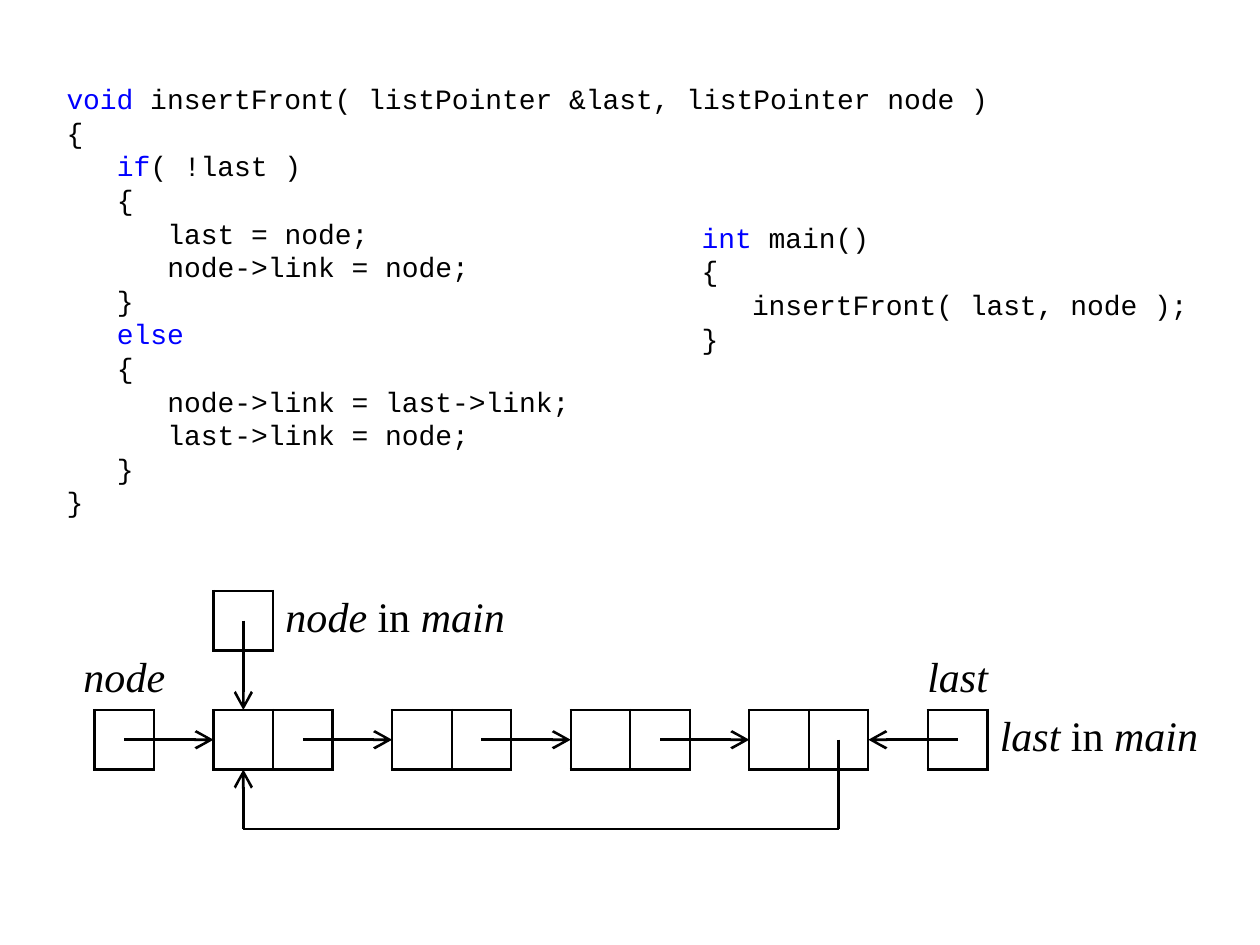
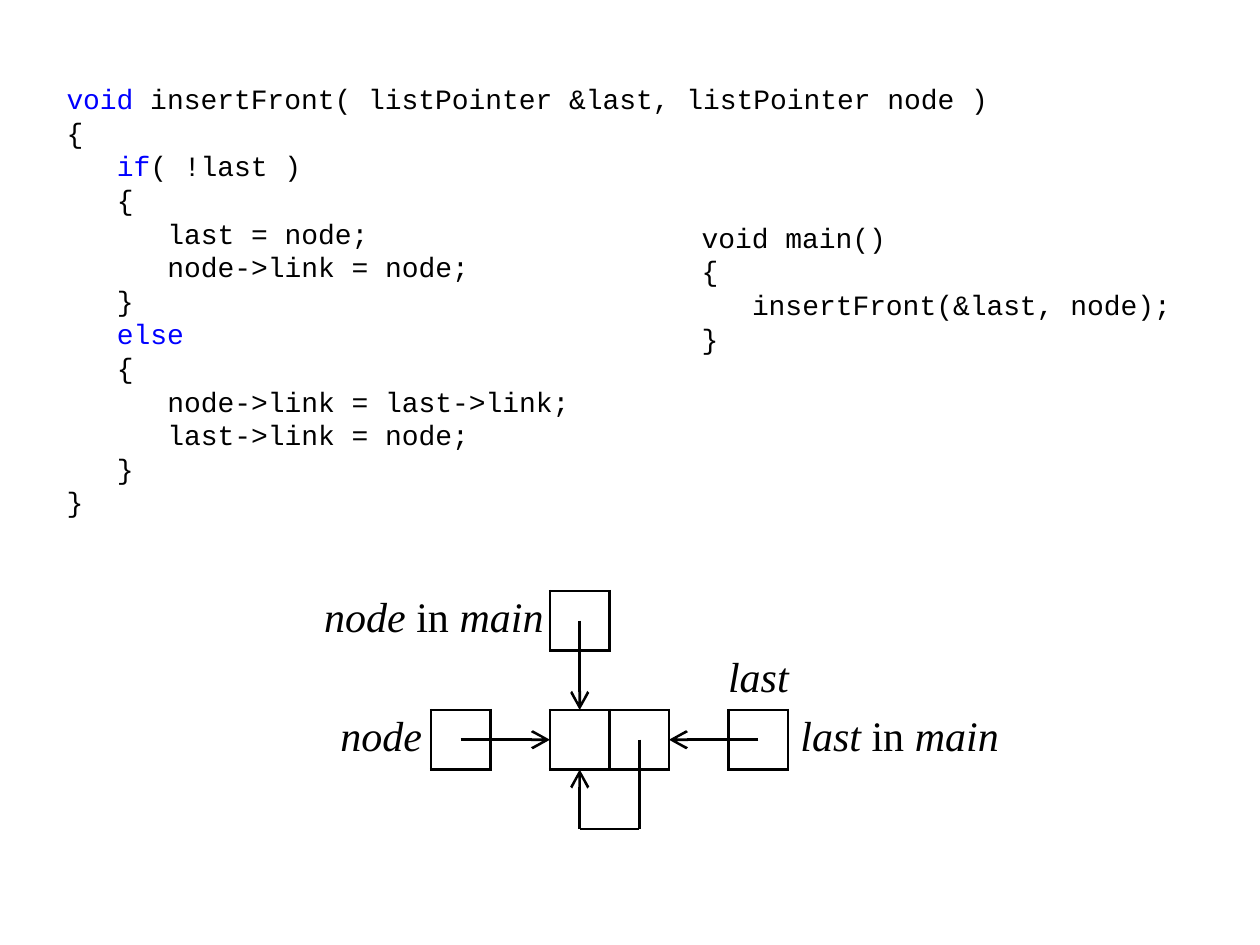
from dataclasses import dataclass
from itertools import pairwise
from lxml.etree import SubElement
from pptx import Presentation
from pptx.dml.color import RGBColor
from pptx.enum.shapes import MSO_CONNECTOR as Connector
from pptx.enum.text import MSO_ANCHOR as Anchor, PP_ALIGN as Align
from pptx.oxml.ns import qn
from pptx.util import Cm, Inches, Pt

INSERT_FRONT = [
    (0, "void", " insertFront( listPointer &last, listPointer node )"),
    (0, "", "{"),
    (1, "if", "( !last )"),
    (1, "", "{"),
    (2, "", "last = node;"),
    (2, "", "node->link = node;"),
    (1, "", "}"),
    (1, "else", ""),
    (1, "", "{"),
    (2, "", "node->link = last->link;"),
    (2, "", "last->link = node;"),
    (1, "", "}"),
    (0, "", "}"),
]


def main_code(keyword, signature, call):
    return [(0, keyword, signature), (0, "", "{"), (1, "", call), (0, "", "}")]


NODE, LAST = ("node",), ("last",)
NODE_IN_MAIN, LAST_IN_MAIN = ("node", " in ", "main"), ("last", " in ", "main")

SLIDES = [
    {
        "main": main_code("int", " main()", "insertFront( last, node );"),
        "left": Inches(0.75),
        "nodes": 4,
        "labels": [(NODE, 0.5, 1, "centre"), (NODE_IN_MAIN, 3, 0, "right of")],
    },
    {
        "main": main_code("", "void main()", "insertFront(&last, node);"),
        "left": Inches(3.42),
        "nodes": 1,
        "labels": [(NODE, 0, 2, "left of"), (NODE_IN_MAIN, 2, 0, "left of")],
    },
]


@dataclass(frozen=True)
class Theme:
    ink: RGBColor = RGBColor(0, 0, 0)
    keyword: RGBColor = RGBColor(0, 0, 255)
    code_font: str = "Courier New"
    code_size: Pt = Pt(16)
    code_pitch: Pt = Pt(19.2)
    code_indent: Inches = Inches(0.4)
    label_font: str = "Times New Roman"
    label_size: Pt = Pt(24)
    label_inset: Inches = Inches(0.1)
    line: Pt = Pt(1.5)


THEME = Theme()
CELL = Cm(1.2)
DIAGRAM_TOP = Inches(4.69)
POINTER_ROW, CHAIN_ROW, LOOP_ROW = 0, 2, 4
FIRST_NODE, NODE_STEP = 2, 3
LABEL_WIDTHS = {
    NODE: Inches(0.79),
    LAST: Inches(0.79),
    NODE_IN_MAIN: Inches(1.89),
    LAST_IN_MAIN: Inches(1.73),
}
LABEL_SHIFT = {"left of": 1, "centre": 0.5, "right of": 0}


def add_run(paragraph, text, color=THEME.ink):
    run = paragraph.add_run()
    run.text = text
    run.font.color.rgb = color
    return run


def add_code(slide, lines, left, top, width, height):
    frame = slide.shapes.add_textbox(*map(Inches, (left, top, width, height))).text_frame
    frame.word_wrap = True
    for index, (level, keyword, rest) in enumerate(lines):
        paragraph = frame.add_paragraph() if index else frame.paragraphs[0]
        paragraph.font.name = THEME.code_font
        paragraph.font.size = THEME.code_size
        paragraph.line_spacing = THEME.code_pitch
        paragraph._p.get_or_add_pPr().set("marL", str(level * THEME.code_indent))
        for text, color in ((keyword, THEME.keyword), (rest, THEME.ink)):
            if text:
                add_run(paragraph, text, color)


class Diagram:
    def __init__(self, slide, left):
        self.shapes = slide.shapes
        self.left = left

    def place(self, column, row):
        return round(self.left + column * CELL), round(DIAGRAM_TOP + row * CELL)

    def boxes(self, column, row, count=1):
        frame = self.shapes.add_table(1, count, *self.place(column, row), count * CELL, CELL)
        table = frame.table
        table.first_row = table.horz_banding = False
        for cell in table.iter_cells():
            cell.margin_left = cell.margin_right = cell.margin_top = cell.margin_bottom = 0
            properties = cell._tc.get_or_add_tcPr()
            for side in ("lnL", "lnR", "lnT", "lnB"):
                border = SubElement(properties, qn(f"a:{side}"), w=str(THEME.line))
                fill = SubElement(border, qn("a:solidFill"))
                SubElement(fill, qn("a:srgbClr"), val=str(THEME.ink))
            cell.fill.background()

    def arrow(self, *points):
        for start, end in pairwise(points):
            connector = self.shapes.add_connector(
                Connector.STRAIGHT, *self.place(*start), *self.place(*end))
            connector.line.color.rgb = THEME.ink
            connector.line.width = THEME.line
            SubElement(connector._element.spPr, qn("a:effectLst"))
        SubElement(connector.line._get_or_add_ln(), qn("a:tailEnd"),
                   type="arrow", w="lg", len="lg")

    def label(self, words, column, row, side):
        x, y = self.place(column, row)
        width = LABEL_WIDTHS[words]
        left = round(x - LABEL_SHIFT[side] * width)
        centred = len(words) == 1
        frame = self.shapes.add_textbox(left, y, width, CELL).text_frame
        frame.word_wrap = False
        frame.vertical_anchor = Anchor.TOP
        frame.margin_left = 0 if centred else THEME.label_inset
        frame.margin_right = frame.margin_top = frame.margin_bottom = 0
        paragraph = frame.paragraphs[0]
        paragraph.alignment = Align.CENTER if centred else Align.LEFT
        paragraph.font.name = THEME.label_font
        paragraph.font.size = THEME.label_size
        for word in words:
            add_run(paragraph, word).font.italic = word != " in "


def draw_list(slide, content):
    diagram = Diagram(slide, content["left"])
    last = FIRST_NODE + NODE_STEP * content["nodes"]
    columns = range(FIRST_NODE, last, NODE_STEP)
    middle = CHAIN_ROW + 0.5
    entry = FIRST_NODE + 0.5
    final_link = columns[-1] + 1.5

    diagram.boxes(0, CHAIN_ROW)
    diagram.boxes(FIRST_NODE, POINTER_ROW)
    diagram.boxes(last, CHAIN_ROW)
    for column in columns:
        diagram.boxes(column, CHAIN_ROW, 2)

    diagram.arrow((0.5, middle), (FIRST_NODE, middle))
    diagram.arrow((entry, POINTER_ROW + 0.5), (entry, CHAIN_ROW))
    for column, following in pairwise(columns):
        diagram.arrow((column + 1.5, middle), (following, middle))
    diagram.arrow((last + 0.5, middle), (columns[-1] + 2, middle))
    diagram.arrow((final_link, middle), (final_link, LOOP_ROW),
                  (entry, LOOP_ROW), (entry, CHAIN_ROW + 1))

    for label in content["labels"]:
        diagram.label(*label)
    diagram.label(LAST, last + 0.5, 1, "centre")
    diagram.label(LAST_IN_MAIN, last + 1, CHAIN_ROW, "right of")


presentation = Presentation()
presentation.slide_width, presentation.slide_height = Inches(10), Inches(7.5)
for content in SLIDES:
    slide = presentation.slides.add_slide(presentation.slide_layouts[6])
    add_code(slide, INSERT_FRONT, 0.43, 0.6, 7.56, 3.62)
    add_code(slide, content["main"], 5.47, 1.7, 4.09, 1.26)
    draw_list(slide, content)
presentation.save("out.pptx")
